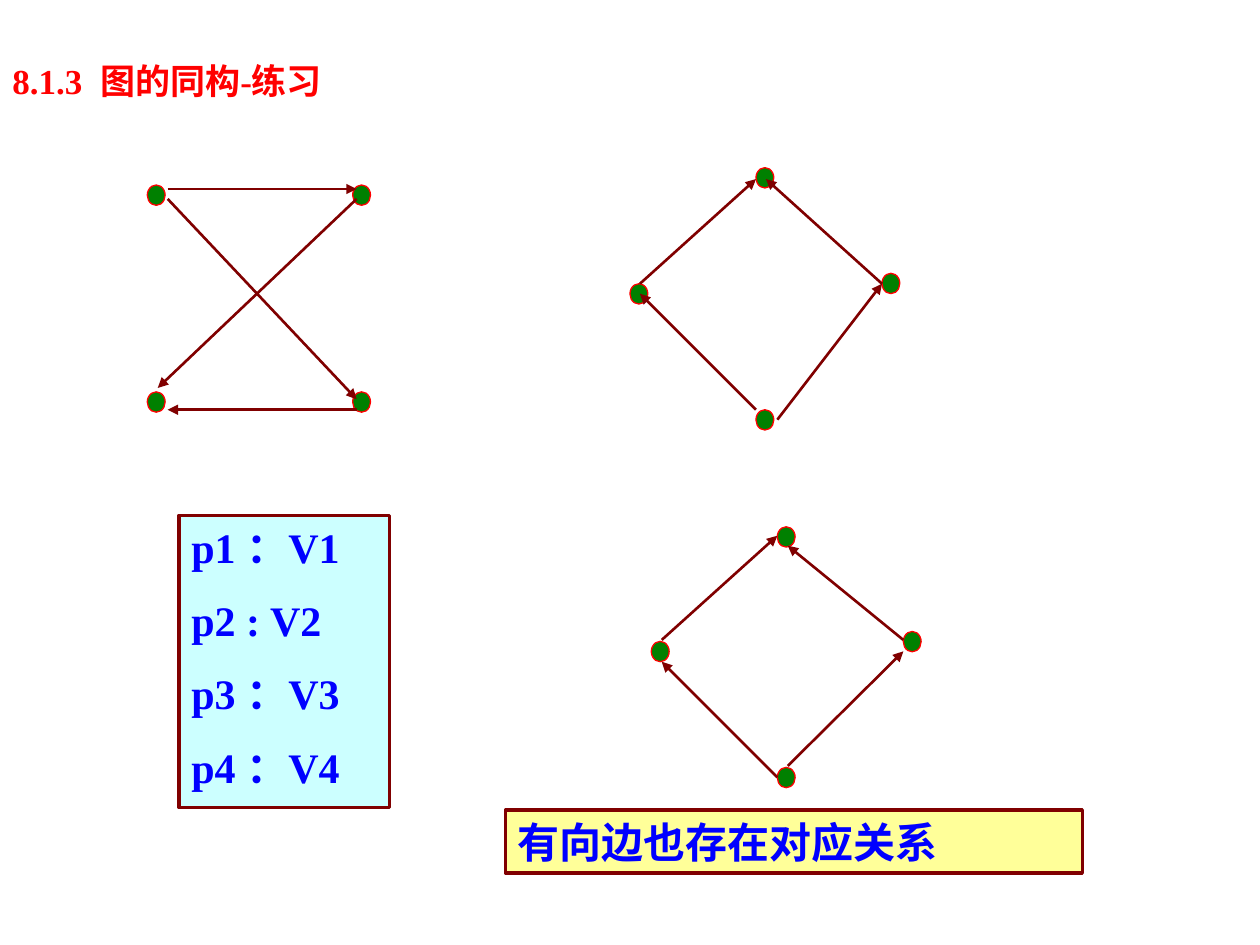
from lxml.etree import SubElement
from pptx import Presentation
from pptx.dml.color import RGBColor
from pptx.enum.shapes import MSO_CONNECTOR, MSO_SHAPE
from pptx.enum.text import MSO_ANCHOR, PP_ALIGN
from pptx.oxml.ns import qn
from pptx.util import Cm, Pt


def color(hex_string):
    return RGBColor.from_string(hex_string)


def add_text(lines, left, top, width, height, size=24, ink="0000FF", fill=None):
    """Add a bold text box; a fill colour also gives it a dark red frame."""
    box = page.shapes.add_shape(MSO_SHAPE.RECTANGLE, Cm(left), Cm(top), Cm(width), Cm(height))
    box.shadow.inherit = False
    if fill:
        box.fill.solid()
        box.fill.fore_color.rgb = color(fill)
        box.line.color.rgb = color("800000")
        box.line.width = Pt(2)
    else:
        box.fill.background()
        box.line.fill.background()
    frame = box.text_frame
    frame.word_wrap = True
    frame.vertical_anchor = MSO_ANCHOR.TOP
    for number, line in enumerate(lines):
        paragraph = frame.add_paragraph() if number else frame.paragraphs[0]
        if number:
            paragraph.space_before = Pt(13)
        paragraph.alignment = PP_ALIGN.LEFT
        span = paragraph.add_run()
        span.text = line
        span.font.name = "Times New Roman"
        span.font.size = Pt(size)
        span.font.bold = True
        span.font.color.rgb = color(ink)


deck = Presentation()
deck.slide_width = Cm(25.4)
deck.slide_height = Cm(19.05)
page = deck.slides.add_slide(deck.slide_layouts[6])

# Each graph: top left corners of its vertices, then start and end of its edges (cm)
crossed_graph = (
    [(7.11, 3.73), (2.97, 7.9), (2.97, 3.73), (7.11, 7.9)],
    [(3.38, 3.81, 7.19, 3.81), (3.38, 4.01, 7.19, 8.05),
     (7.19, 4.01, 3.18, 7.82), (7.19, 8.26, 3.38, 8.26)],
)
upper_diamond = (
    [(17.78, 5.51), (12.7, 5.72), (15.24, 3.38), (15.24, 8.26)],
    [(12.9, 5.72, 15.24, 3.61), (17.78, 5.72, 15.44, 3.61),
     (15.24, 8.26, 12.9, 5.92), (15.67, 8.46, 17.78, 5.72)],
)
lower_diamond = (
    [(18.21, 12.73), (13.13, 12.93), (15.67, 10.62), (15.67, 15.47)],
    [(15.88, 15.44, 18.21, 13.13), (15.67, 15.67, 13.34, 13.34),
     (18.21, 12.9, 15.88, 11), (13.34, 12.9, 15.67, 10.8)],
)

for vertices, edges in (crossed_graph, upper_diamond, lower_diamond):
    for left, top in vertices:
        vertex = page.shapes.add_shape(MSO_SHAPE.OVAL, Cm(left), Cm(top), Cm(0.36), Cm(0.41))
        vertex.shadow.inherit = False
        vertex.fill.solid()
        vertex.fill.fore_color.rgb = color("008000")
        vertex.line.color.rgb = color("FF0000")
        vertex.line.width = Pt(0.75)
    for ends in edges:
        edge = page.shapes.add_connector(MSO_CONNECTOR.STRAIGHT, *map(Cm, ends))
        edge.line.color.rgb = color("800000")
        edge.line.width = Pt(1.5)
        SubElement(edge.line._get_or_add_ln(), qn("a:tailEnd"), type="triangle")
        SubElement(edge._element.spPr, qn("a:effectLst"))

add_text(["p1 ：V1", "p2 : V2", "p3 ：V3", "p4 ：V4"], 3.61, 10.39, 4.24, 5.89, fill="CCFFFF")
add_text(["有向边也存在对应关系"], 10.19, 16.33, 11.63, 1.27, fill="FFFF99")
add_text(["8.1.3  图的同构-练习"], 0, 1.07, 11, 1.09, size=20, ink="FF0000")

deck.save("out.pptx")
